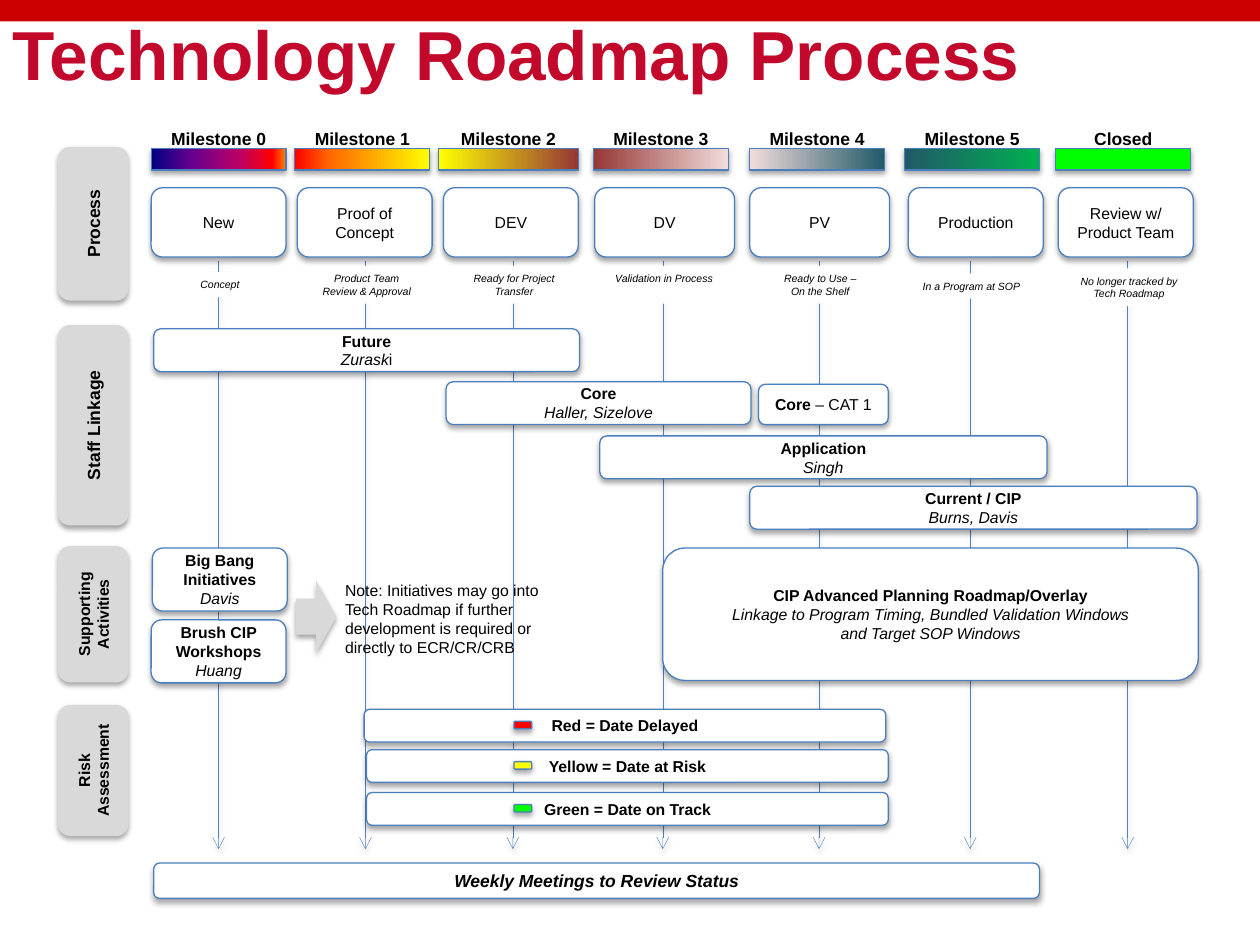
from dataclasses import dataclass

from lxml.etree import SubElement
from pptx import Presentation
from pptx.dml.color import RGBColor
from pptx.enum.shapes import MSO_CONNECTOR as Link, MSO_SHAPE as Form
from pptx.enum.text import MSO_ANCHOR as Anchor, PP_ALIGN as Align
from pptx.oxml.ns import qn
from pptx.util import Inches, Pt

FONT = "Arial"
COLORS = {
    "band": "CC0000", "title": "C3092B", "ink": "000000", "paper": "FFFFFF",
    "tab": "D9D9D9", "edge": "4B7EBC", "axis": "4F81BD",
    "red": "FF0000", "yellow": "FFFF00", "green": "00FF00",
}


@dataclass
class Stage:
    """One milestone column, measured in tenths of an inch."""
    label: str
    name: str
    caption: list
    axis: float
    bar: float
    box: float
    caption_row: float
    gradient: tuple
    bar_width: float = 10.7
    box_width: float = 10.7


STAGES = [
    Stage("Milestone 0", "New", ["Concept"], 17.35, 12, 12, 21.6,
          ((0, "000082"), (30, "66008F"), (65, "BA0066"), (90, "FF0000"), (100, "FF8200"))),
    Stage("Milestone 1", "Proof of Concept", ["Product Team Review & Approval"],
          29, 23.4, 23.6, 21.1, ((0, "FF0000"), (25, "FF6600"), (100, "FFFF00"))),
    Stage("Milestone 2", "DEV", ["Ready for Project Transfer"],
          40.7, 34.8, 35.2, 21.1, ((0, "FFFF00"), (100, "953735")), bar_width=11.1),
    Stage("Milestone 3", "DV", ["Validation in Process"],
          52.6, 47.1, 47.2, 21.1, ((0, "953735"), (100, "F2DCDB")), box_width=11.1),
    Stage("Milestone 4", "PV", ["Ready to Use –", "On the Shelf"],
          65, 59.5, 59.5, 21.1, ((0, "F2DCDB"), (100, "215968")), box_width=11.1),
    Stage("Milestone 5", "Production", ["In a Program at SOP"],
          77, 71.8, 72.1, 21.7, ((0, "215968"), (100, "00B050"))),
    Stage("Closed", "Review w/ Product Team", ["No longer tracked by Tech Roadmap"],
          89.5, 83.8, 84, 21.3, ()),
]

TABS = [("Process", 17.75, 12.1, 10), ("Staff Linkage", 33.75, 15.8, 10),
        ("Supporting Activities", 48.75, 10.7, 9), ("Risk Assessment", 61.15, 10.3, 9)]

ACTIVITIES = [
    ((12.2, 26.1, 33.8, 3.4), [[("Future", "b")], [("Zurask", "i"), ("i", "")]]),
    ((35.4, 30.3, 24.2, 3.4), [[("Core", "b")], [("Haller, Sizelove", "i")]]),
    ((60.2, 30.5, 10.3, 3.2), [[("Core ", "b"), ("– CAT 1", "")]]),
    ((47.6, 34.6, 35.5, 3.4), [[("Application", "b")], [("Singh", "i")]]),
    ((59.5, 38.6, 35.5, 3.4), [[("Current / CIP", "b")], [("Burns, Davis", "i")]]),
    ((12.1, 43.5, 10.7, 5), [[("Big Bang Initiatives", "b")], [("Davis", "i")]]),
    ((12, 49.2, 10.7, 5), [[("Brush CIP Workshops", "b")], [("Huang", "i")]]),
    ((52.6, 43.5, 42.5, 10.5), [
        [("CIP Advanced Planning Roadmap/Overlay", "b")],
        [("Linkage to Program Timing, Bundled Validation Windows", "i")],
        [("and Target SOP Windows", "i")]]),
]

RISKS = [("Red = Date Delayed", "red", 28.9, 56.3),
         ("Yellow = Date at Risk", "yellow", 29.1, 59.5),
         ("Green = Date on Track", "green", 29.1, 62.9)]


def grid(*cells):
    """Turn grid cells of a tenth of an inch into lengths."""
    return [Inches(cell / 10) for cell in cells]


def color(name):
    """Look up a named colour."""
    return RGBColor.from_string(COLORS[name])


def write(holder, paragraphs, size=9, style="", ink="ink", align=Align.CENTER,
          anchor=Anchor.MIDDLE):
    """Fill a shape with paragraphs, each a string or a list of (text, style) runs."""
    frame = holder.text_frame
    frame.word_wrap = True
    frame.vertical_anchor = anchor
    for index, content in enumerate(paragraphs):
        paragraph = frame.add_paragraph() if index else frame.paragraphs[0]
        paragraph.alignment = align
        for text, look in [(content, style)] if isinstance(content, str) else content:
            run = paragraph.add_run()
            run.text = text
            font = run.font
            font.name, font.size = FONT, Pt(size)
            font.bold, font.italic = "b" in look, "i" in look
            font.color.rgb = color(ink)


def cast_shadow(element, opacity=35, distance=1.8):
    """Append a soft shadow that falls straight down."""
    effects = SubElement(element.spPr, qn("a:effectLst"))
    outer = SubElement(effects, qn("a:outerShdw"), blurRad=str(Pt(3.1)),
                       dist=str(Pt(distance)), dir="5400000", rotWithShape="0")
    tint = SubElement(outer, qn("a:srgbClr"), val=COLORS["ink"])
    SubElement(tint, qn("a:alpha"), val=str(opacity * 1000))


def blend(shape, stops):
    """Fill a shape with a left-to-right gradient."""
    shape.fill.gradient()
    shape.fill.gradient_angle = 0
    stop_list = shape._element.spPr.find(".//" + qn("a:gsLst"))
    stop_list.clear()
    for share, tint in stops:
        stop = SubElement(stop_list, qn("a:gs"), pos=str(share * 1000))
        SubElement(stop, qn("a:srgbClr"), val=tint)


def draw(slide, form, cells, fill="paper", edge="edge", shadow=True, stops=()):
    """Add a filled preset shape at its grid cells."""
    shape = slide.shapes.add_shape(form, *grid(*cells))
    if stops:
        blend(shape, stops)
    else:
        shape.fill.solid()
        shape.fill.fore_color.rgb = color(fill)
    if edge:
        shape.line.color.rgb = color(edge)
        shape.line.width = Pt(0.75)
    else:
        shape.line.fill.background()
    if shadow:
        cast_shadow(shape._element)
    else:
        shape.shadow.inherit = False
    return shape


def label(slide, cells, text, **look):
    """Add a plain text box."""
    write(slide.shapes.add_textbox(*grid(*cells)), [text], anchor=Anchor.TOP, **look)


def draw_axis(slide, stage):
    """Drop a thin arrow from a stage to the weekly meetings."""
    axis = slide.shapes.add_connector(
        Link.STRAIGHT, *grid(stage.axis, 20.7, stage.axis, 67.4))
    axis.line.color.rgb = color("axis")
    axis.line.width = Pt(0.25)
    SubElement(axis.line._get_or_add_ln(), qn("a:tailEnd"), type="arrow")
    cast_shadow(axis._element, opacity=38, distance=1.6)


def draw_stage(slide, stage):
    """Add a stage's label, colour bar, box and caption."""
    middle = stage.bar + stage.bar_width / 2
    label(slide, (middle - 9, 9.7, 18, 2.7), stage.label, size=10, style="b")
    draw(slide, Form.RECTANGLE, (stage.bar, 11.8, stage.bar_width, 1.7),
         fill="green", stops=stage.gradient)
    box = draw(slide, Form.ROUNDED_RECTANGLE, (stage.box, 14.9, stage.box_width, 5.5))
    write(box, [stage.name])
    rows = 2 if stage.caption_row > 21.5 else 3
    caption = draw(slide, Form.RECTANGLE, (stage.axis - 4.8, stage.caption_row, 9.8, rows),
                   edge=None, shadow=False)
    write(caption, stage.caption, size=6, style="i", anchor=Anchor.TOP)


def draw_tab(slide, name, middle, length, size):
    """Add a row heading that reads upwards."""
    tab = draw(slide, Form.ROUNDED_RECTANGLE,
               (7.4 - length / 2, middle - 2.75, length, 5.5), fill="tab", edge="tab")
    tab.rotation = 270
    write(tab, [name], size=size, style="b")


def draw_risk(slide, meaning, signal, col, row):
    """Add a risk bar with its signal light."""
    bar = draw(slide, Form.ROUNDED_RECTANGLE, (col, row, 41.4, 2.6))
    write(bar, [meaning], style="b")
    draw(slide, Form.ROUNDED_RECTANGLE, (40.8, row + 0.95, 1.4, 0.6), fill=signal)


def main():
    """Build the roadmap slide."""
    deck = Presentation()
    deck.slide_width, deck.slide_height = grid(100, 75)
    slide = deck.slides.add_slide(deck.slide_layouts[5])
    draw(slide, Form.RECTANGLE, (0, 0, 100, 1.7), fill="band", edge=None, shadow=False)
    title = slide.shapes.title
    title.left, title.top, title.width, title.height = grid(0, 0, 90, 8.4)
    write(title, ["Technology Roadmap Process"], size=39.6, style="b", ink="title",
          align=Align.LEFT)
    for stage in STAGES:
        draw_axis(slide, stage)
    for stage in STAGES:
        draw_stage(slide, stage)
    for tab in TABS:
        draw_tab(slide, *tab)
    for cells, paragraphs in ACTIVITIES:
        write(draw(slide, Form.ROUNDED_RECTANGLE, cells), paragraphs)
    for risk in RISKS:
        draw_risk(slide, *risk)
    draw(slide, Form.RIGHT_ARROW, (23.5, 46.1, 3.2, 5.7), fill="tab", edge=None)
    label(slide, (26.4, 45.6, 18.5, 7.1),
          "Note: Initiatives may go into Tech Roadmap if further development "
          "is required or directly to ECR/CR/CRB", align=Align.LEFT)
    meetings = draw(slide, Form.ROUNDED_RECTANGLE, (12.2, 68.5, 70.3, 2.8))
    write(meetings, ["Weekly Meetings to Review Status"], size=10, style="bi")
    deck.save("out.pptx")


if __name__ == "__main__":
    main()
